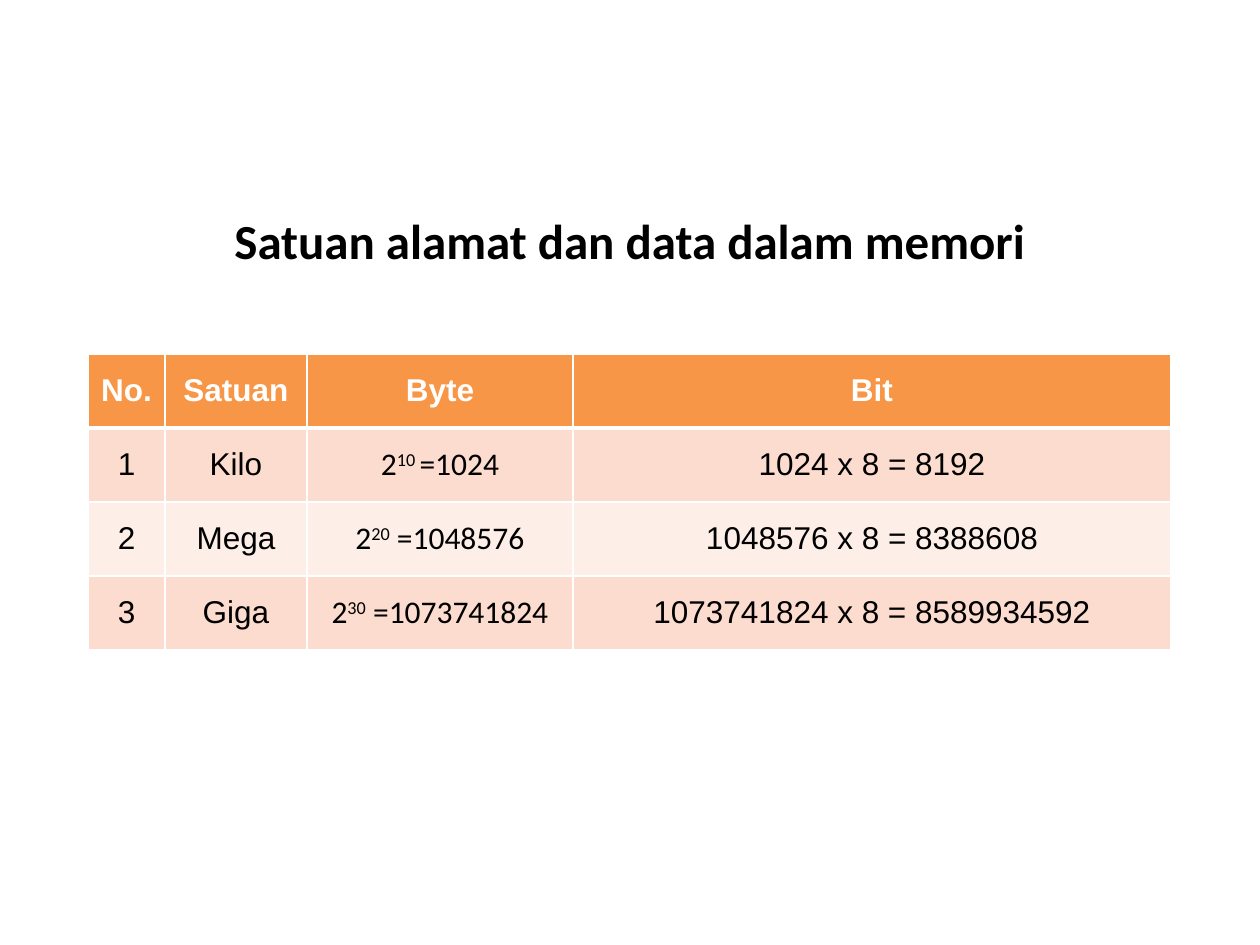
from pptx import Presentation
from pptx.dml.color import RGBColor
from pptx.enum.text import MSO_ANCHOR, PP_ALIGN
from pptx.oxml import parse_xml
from pptx.oxml.ns import nsdecls
from pptx.util import Emu, Pt

EMU_PER_PX = 914400 / 126


def px(n):
    return Emu(round(n * EMU_PER_PX))


def rgb(value):
    return RGBColor.from_string(value)


class Deck:
    heading_font, table_font = "Calibri", "Arial"
    ink, white = "000000", "FFFFFF"
    header_fill, band_fills = "F79646", ("FCDCCE", "FDEEE8")

    def __init__(self):
        self.prs = Presentation()
        self.prs.slide_width, self.prs.slide_height = px(1260), px(945)
        self.s = self.prs.slides.add_slide(self.prs.slide_layouts[6])

    def add_runs(self, tf, runs, size, font, color, bold=False):
        """Fill one centred paragraph; each run is (text, is_superscript)."""
        p = tf.paragraphs[0]
        p.alignment = PP_ALIGN.CENTER
        for text, raised in runs:
            r = p.add_run()
            r.text = text
            r.font.size, r.font.name, r.font.bold = Pt(size), font, bold
            r.font.color.rgb = rgb(color)
            if raised:
                r.font._element.set("baseline", "30000")

    def title(self, text, x, y, w, h):
        tf = self.s.shapes.add_textbox(px(x), px(y), px(w), px(h)).text_frame
        tf.word_wrap = True
        tf.vertical_anchor = MSO_ANCHOR.MIDDLE
        self.add_runs(tf, [(text, False)], 28, self.heading_font, self.ink, True)

    def borders(self, cell, top, bottom):
        tcPr = cell._tc.get_or_add_tcPr()
        sides = (("L", 1), ("R", 1), ("T", top), ("B", bottom))
        for i, (side, width) in enumerate(sides):
            tcPr.insert(i, parse_xml(
                f'<a:ln{side} {nsdecls("a")} w="{Pt(width)}"><a:solidFill>'
                f'<a:srgbClr val="{self.white}"/></a:solidFill></a:ln{side}>'))

    def table(self, rows, x, y, widths, row_h):
        tbl = self.s.shapes.add_table(
            len(rows), len(widths), px(x), px(y),
            px(sum(widths)), px(row_h * len(rows))).table
        for col, w in zip(tbl.columns, widths):
            col.width = px(w)
        for i, row in enumerate(rows):
            tbl.rows[i].height = px(row_h)
            header = i == 0
            fill = self.header_fill if header else self.band_fills[(i - 1) % 2]
            for j, content in enumerate(row):
                cell = tbl.cell(i, j)
                cell.vertical_anchor = MSO_ANCHOR.MIDDLE
                cell.fill.solid()
                cell.fill.fore_color.rgb = rgb(fill)
                self.borders(cell, 3 if i == 1 else 1, 3 if header else 1)
                plain = isinstance(content, str)
                self.add_runs(cell.text_frame,
                              [(content, False)] if plain else content, 18,
                              self.table_font if plain else self.heading_font,
                              self.white if header else self.ink, header)


def power(exponent, result):
    return [("2", False), (exponent, True), (result, False)]


def main():
    deck = Deck()

    # Title
    deck.title("Satuan alamat dan data dalam memori", 213, 195, 833, 90)

    # Memory units
    deck.table([
        ("No.", "Satuan", "Byte", "Bit"),
        ("1", "Kilo", power("10 ", "=1024"), "1024 x 8 = 8192"),
        ("2", "Mega", power("20", " =1048576"), "1048576 x 8 = 8388608"),
        ("3", "Giga", power("30", " =1073741824"),
         "1073741824 x 8 = 8589934592"),
    ], 88, 354, (77, 142, 266, 598), 74)

    deck.prs.save("out.pptx")


if __name__ == "__main__":
    main()
